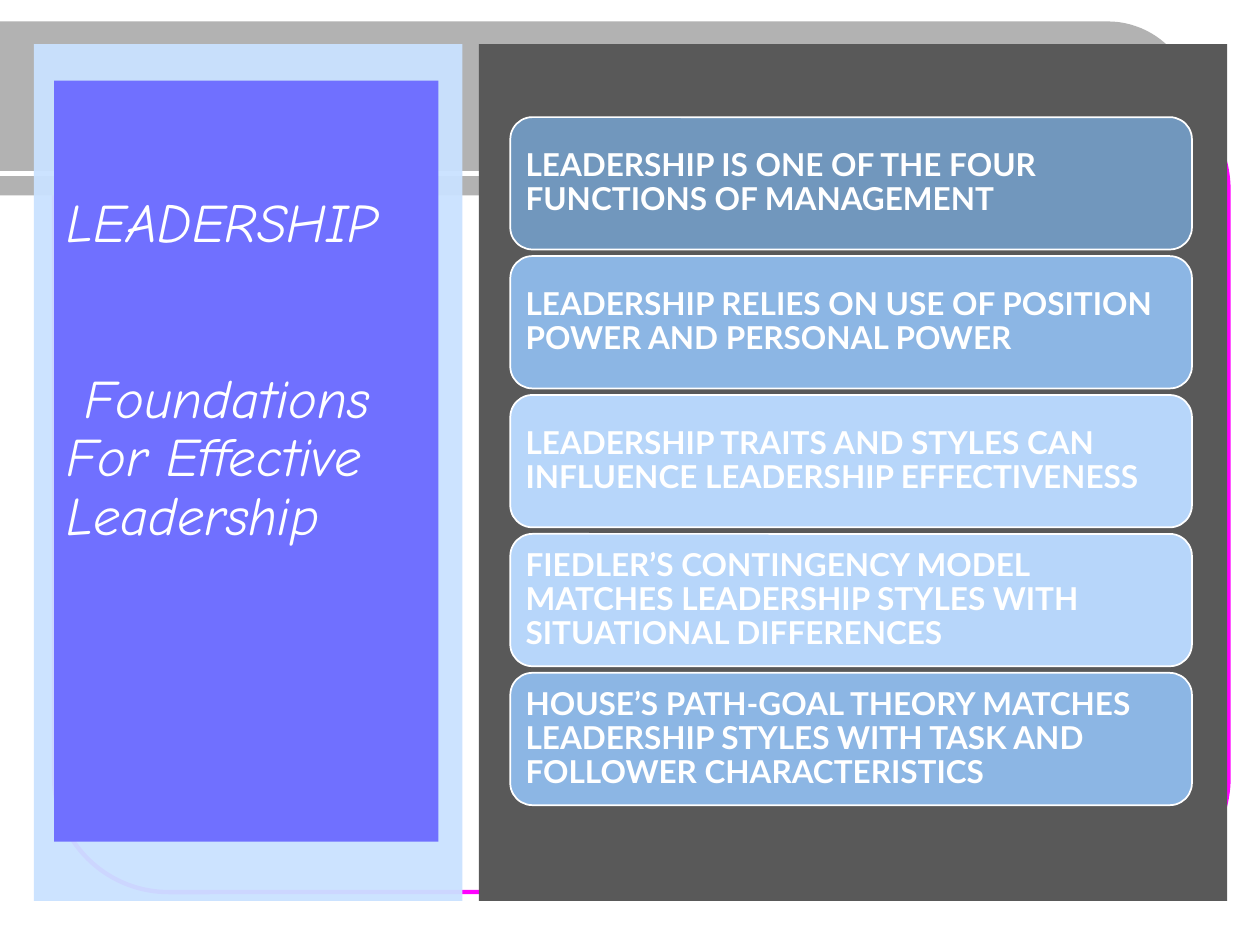
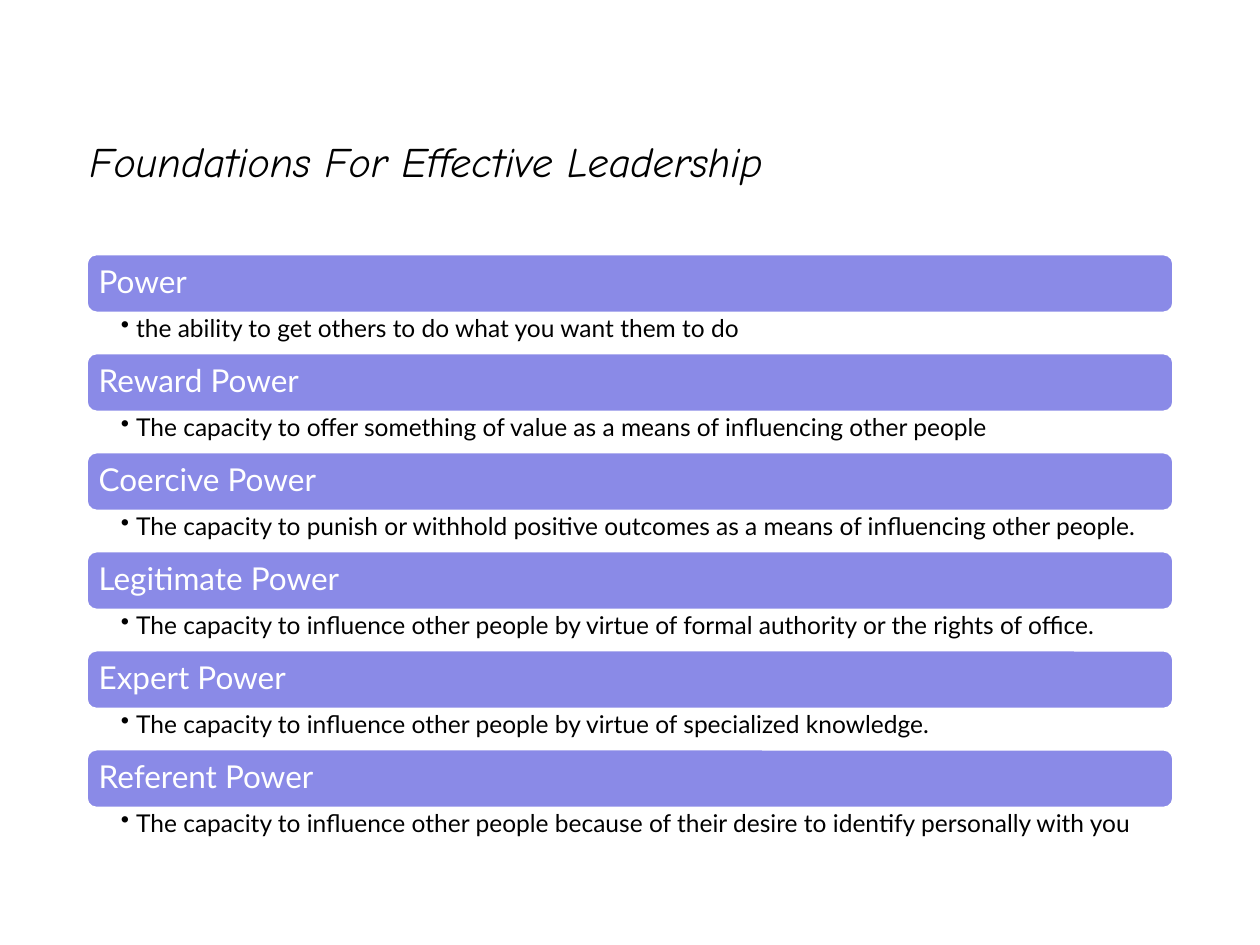
from dataclasses import dataclass
from math import cos, pi, sin

from lxml import etree
from pptx import Presentation
from pptx.dml.color import RGBColor
from pptx.enum.shapes import MSO_CONNECTOR, MSO_SHAPE
from pptx.enum.text import MSO_ANCHOR, MSO_AUTO_SIZE, PP_ALIGN
from pptx.oxml.ns import qn
from pptx.util import Inches, Pt

RECT = MSO_SHAPE.RECTANGLE
ROUND_RECT = MSO_SHAPE.ROUNDED_RECTANGLE
STRAIGHT = MSO_CONNECTOR.STRAIGHT
TOP, MIDDLE = MSO_ANCHOR.TOP, MSO_ANCHOR.MIDDLE
NO_AUTOFIT = MSO_AUTO_SIZE.NONE
LEFT = PP_ALIGN.LEFT

WHITE = RGBColor(0xFF, 0xFF, 0xFF)
BLACK = RGBColor(0x00, 0x00, 0x00)
MAGENTA = RGBColor(0xFF, 0x00, 0xFF)
BAND_GRAY = RGBColor(0xB2, 0xB2, 0xB2)
PANEL_GRAY = RGBColor(0x59, 0x59, 0x59)
PALE_BLUE = RGBColor(0xCA, 0xE2, 0xFF)
TITLE_BLUE = RGBColor(0x70, 0x70, 0xFF)
STEEL_BLUE = RGBColor(0x71, 0x97, 0xBD)
MID_BLUE = RGBColor(0x8C, 0xB6, 0xE4)
LIGHT_BLUE = RGBColor(0xB7, 0xD6, 0xFA)
BAR_VIOLET = RGBColor(0x8A, 0x8A, 0xE7)

TITLE_FONT, BODY_FONT = "Comic Neue", "Lato"
TITLE_ONLY = 5
LINE_SPACING = 0.9
TITLE_INSETS = (0.1, 0.05, 0.1, 0.05)
BAR_INSETS = (0.07,) * 4
DETAIL_INSETS = (0.27, 0.03, 0.14, 0.03)


@dataclass(frozen=True)
class Box:
    """A rectangle measured in inches."""

    left: float
    top: float
    width: float
    height: float

    def emu(self) -> list:
        """Return the rectangle as lengths."""
        return [Inches(v) for v in (self.left, self.top, self.width, self.height)]


@dataclass(frozen=True)
class Point:
    """A key point and the colour of its card."""

    text: str
    color: RGBColor


@dataclass(frozen=True)
class Power:
    """A kind of power and its definition."""

    name: str
    meaning: str


POINTS = [
    Point("LEADERSHIP IS ONE OF THE FOUR FUNCTIONS OF MANAGEMENT", STEEL_BLUE),
    Point("LEADERSHIP RELIES ON USE OF POSITION POWER AND PERSONAL POWER", MID_BLUE),
    Point("LEADERSHIP TRAITS AND STYLES CAN INFLUENCE LEADERSHIP EFFECTIVENESS",
          LIGHT_BLUE),
    Point("FIEDLER’S CONTINGENCY MODEL MATCHES LEADERSHIP STYLES WITH "
          "SITUATIONAL DIFFERENCES", LIGHT_BLUE),
    Point("HOUSE’S PATH-GOAL THEORY MATCHES LEADERSHIP STYLES WITH TASK AND "
          "FOLLOWER CHARACTERISTICS", MID_BLUE),
]

POWERS = [
    Power("Power", "the ability to get others to do what you want them to do"),
    Power("Reward Power", "The capacity to offer something of value as a means of "
          "influencing other people"),
    Power("Coercive Power", "The capacity to punish or withhold positive outcomes as "
          "a means of influencing other people."),
    Power("Legitimate Power", "The capacity to influence other people by virtue of "
          "formal authority or the rights of office."),
    Power("Expert Power", "The capacity to influence other people by virtue of "
          "specialized knowledge."),
    Power("Referent Power", "The capacity to influence other people because of their "
          "desire to identify personally with you"),
]


def spread(first: float, last: float, count: int) -> list[float]:
    """Return evenly spaced positions from first to last."""
    return [first + i * (last - first) / (count - 1) for i in range(count)]


def add_bullet(p, hang: float) -> None:
    """Give a paragraph a hanging round bullet."""
    pPr = p._p.get_or_add_pPr()
    pPr.set("marL", str(Inches(hang)))
    pPr.set("indent", str(-Inches(hang)))
    etree.SubElement(pPr, qn("a:buChar")).set("char", "•")


def write(sp, *texts: str, size: float, color: RGBColor, font: str = BODY_FONT,
          bold: bool = False, italic: bool = False, anchor=MIDDLE,
          insets: tuple = BAR_INSETS, gap: float = 0, indent: float = 0,
          hang: float = 0) -> None:
    """Write one paragraph per text; gap parts them, indent moves the last one."""
    tf = sp.text_frame
    tf.word_wrap = True
    tf.auto_size = NO_AUTOFIT
    tf.vertical_anchor = anchor
    (tf.margin_left, tf.margin_top,
     tf.margin_right, tf.margin_bottom) = [Inches(v) for v in insets]
    for i, text in enumerate(texts):
        p = tf.paragraphs[0] if i == 0 else tf.add_paragraph()
        if hang:
            add_bullet(p, hang)
        if indent and i == len(texts) - 1:
            p._p.get_or_add_pPr().set("indent", str(Inches(indent)))
        p.alignment = LEFT
        p.line_spacing = LINE_SPACING
        p.space_before = Pt(gap if i else 0)
        r = p.add_run()
        r.text = text
        r.font.name, r.font.size = font, Pt(size)
        r.font.bold, r.font.italic = bold, italic
        r.font.color.rgb = color


def paint(sp, fill: RGBColor | None, line: RGBColor | None = None,
          weight: float = 1) -> None:
    """Set the fill and outline of a shape and drop its shadow."""
    sp.shadow.inherit = False
    if fill is None:
        sp.fill.background()
    else:
        sp.fill.solid()
        sp.fill.fore_color.rgb = fill
    if line is None:
        sp.line.fill.background()
    else:
        sp.line.color.rgb = line
        sp.line.width = Pt(weight)


def add_box(s, kind, box: Box, fill: RGBColor | None,
            line: RGBColor | None = None, weight: float = 1):
    """Add a painted preset shape."""
    sp = s.shapes.add_shape(kind, *box.emu())
    paint(sp, fill, line, weight)
    return sp


def set_title(s, box: Box, *texts: str, **style) -> None:
    """Place the title in front of what is drawn so far and write it."""
    sp = s.shapes.title
    s.shapes._spTree.append(sp._element)
    sp.left, sp.top, sp.width, sp.height = box.emu()
    write(sp, *texts, font=TITLE_FONT, italic=True, **style)


def add_band(s) -> None:
    """Draw the gray band with a round right end and its white rule."""
    top, radius, center_x, steps = 0.17, 0.69, 8.79, 48
    angles = [pi * i / steps - pi / 2 for i in range(steps + 1)]
    arc = [(Inches(center_x + radius * cos(a)), Inches(top + radius + radius * sin(a)))
           for a in angles]
    outline = s.shapes.build_freeform(0, Inches(top))
    outline.add_line_segments(arc + [(0, Inches(top + 2 * radius))], close=True)
    paint(outline.convert_to_shape(), BAND_GRAY)
    rule = s.shapes.add_connector(STRAIGHT, 0, Inches(1.38), Inches(9.07), Inches(1.38))
    rule.line.color.rgb = WHITE
    rule.line.width = Pt(3)
    etree.SubElement(rule._element.spPr, qn("a:effectLst"))


def build_overview(s) -> None:
    """Build the slide with the title panel and the key point cards."""
    frame = add_box(s, ROUND_RECT, Box(0.43, 0.6, 9.32, 6.48), None, MAGENTA, 2.5)
    frame.adjustments[0] = 0.14
    add_band(s)
    pale = add_box(s, RECT, Box(0.27, 0.35, 3.4, 6.8), PALE_BLUE)
    color = pale._element.spPr.find(qn("a:solidFill"))[0]
    etree.SubElement(color, qn("a:alpha")).set("val", "95000")
    s.shapes.title.fill.solid()
    s.shapes.title.fill.fore_color.rgb = TITLE_BLUE
    set_title(s, Box(0.43, 0.64, 3.05, 6.04), "LEADERSHIP",
              "Foundations For Effective Leadership", size=31, color=WHITE,
              anchor=TOP, insets=(0.1, 0.91, 0.1, 0.05), gap=67, indent=0.14)
    add_box(s, RECT, Box(3.8, 0.35, 5.94, 6.8), PANEL_GRAY)
    for point, top in zip(POINTS, spread(0.93, 5.34, len(POINTS))):
        card = add_box(s, ROUND_RECT, Box(4.05, top, 5.41, 1.05), point.color, WHITE)
        write(card, point.text, size=18, color=WHITE, bold=True)


def build_powers(s) -> None:
    """Build the slide that defines each kind of power."""
    left, top, right, bottom = TITLE_INSETS
    set_title(s, Box(0.5, 0.5, 8.62, 1.24), "Foundations For Effective Leadership",
              size=24, color=BLACK, insets=(left, top + 0.36, right, bottom),
              indent=0.11)
    bar_height = 0.46
    for power, y in zip(POWERS, spread(2.02, 5.95, len(POWERS))):
        bar = add_box(s, ROUND_RECT, Box(0.69, y, 8.62, bar_height), BAR_VIOLET, WHITE)
        write(bar, power.name, size=18, color=WHITE)
        detail = s.shapes.add_textbox(*Box(0.69, y + bar_height, 8.62, 0.33).emu())
        write(detail, power.meaning, size=14, color=BLACK, anchor=TOP,
              insets=DETAIL_INSETS, hang=0.12)


def main() -> None:
    """Build and save the presentation."""
    prs = Presentation()
    prs.slide_width, prs.slide_height = Inches(10), Inches(7.5)
    for build in (build_overview, build_powers):
        build(prs.slides.add_slide(prs.slide_layouts[TITLE_ONLY]))
    prs.save("out.pptx")


if __name__ == "__main__":
    main()
